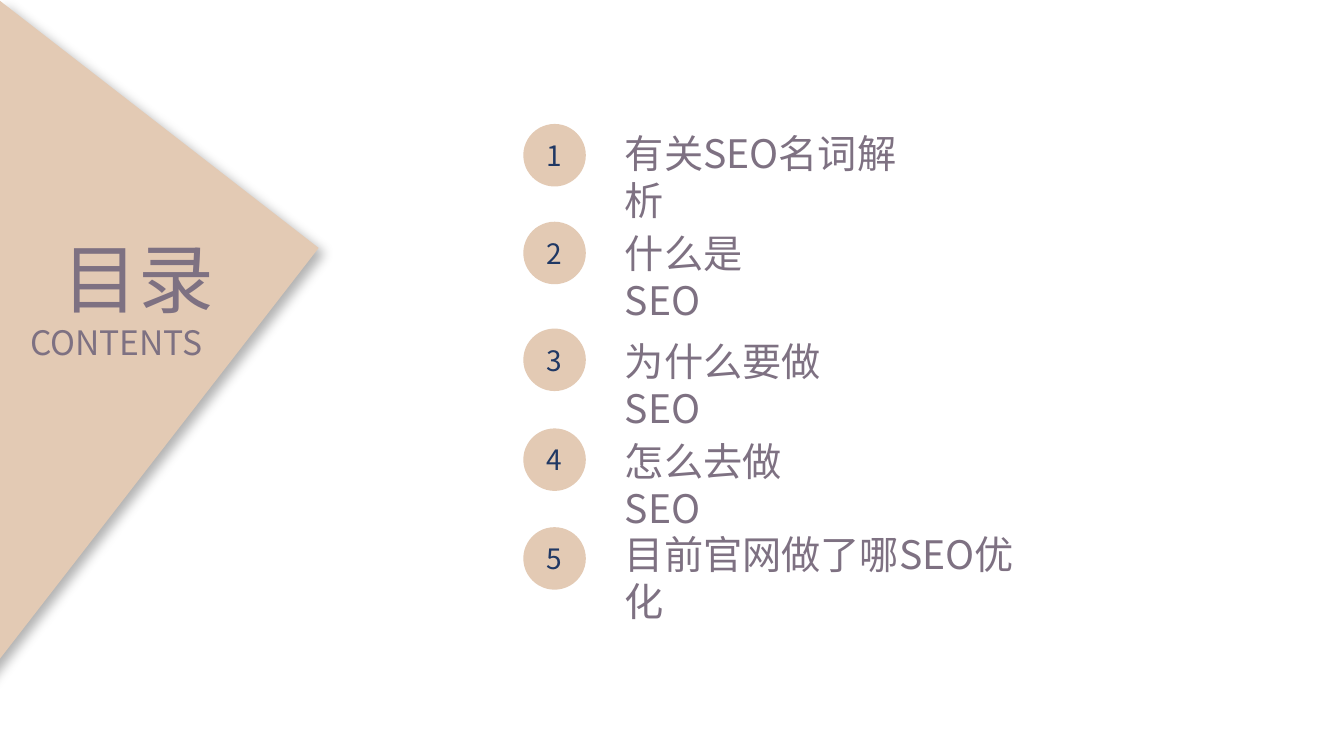
from lxml.etree import SubElement
from pptx import Presentation
from pptx.dml.color import RGBColor
from pptx.enum.shapes import MSO_SHAPE as Shape
from pptx.enum.text import MSO_ANCHOR as Anchor, MSO_AUTO_SIZE as Fit, PP_ALIGN as Align
from pptx.oxml.ns import qn
from pptx.util import Pt

PX = 9144  # 100 px to the inch
FONT = "Noto Sans CJK SC"
SAND, MAUVE, NAVY = "E3CAB4", "7E7182", "203864"

# Each topic: wording, circle top, text top, text width
TOPICS = [
    ("有关SEO名词解析", 123, 123, 312),
    ("什么是SEO", 220, 223, 195),
    ("为什么要做SEO", 326, 330, 273),
    ("怎么去做SEO", 425, 429, 234),
    ("目前官网做了哪SEO优化", 523, 521, 428),
]


def px(*nums):
    return [n * PX for n in nums]


def color(code):
    return RGBColor.from_string(code)


def write(shape, text, size, ink=MAUVE, align=Align.LEFT, anchor=Anchor.TOP):
    frame = shape.text_frame
    frame.word_wrap = True
    frame.auto_size = Fit.NONE
    frame.vertical_anchor = anchor
    par = frame.paragraphs[0]
    par.alignment = align
    run = par.add_run()
    run.text = text
    run.font.size = Pt(size)
    run.font.name = FONT
    run.font.color.rgb = color(ink)
    # East Asian glyphs need their own typeface entry
    SubElement(run.font._element, qn("a:ea"), typeface=FONT)


def add_label(slide, text, box, size):
    write(slide.shapes.add_textbox(*px(*box)), text, size)


def add_solid(slide, kind, box):
    shape = slide.shapes.add_shape(kind, *px(*box))
    shape.shadow.inherit = False
    shape.fill.solid()
    shape.fill.fore_color.rgb = color(SAND)
    shape.line.fill.background()
    return shape


def add_wedge(slide):
    wedge = add_solid(slide, Shape.RIGHT_TRIANGLE, (-319, 156, 591, 401))
    wedge.rotation = 127.8
    props = wedge._element.spPr
    props.find(qn("a:xfrm")).set("flipV", "1")
    # Soft shadow to the lower right
    shade = SubElement(props.find(qn("a:effectLst")), qn("a:outerShdw"),
                       blurRad=str(Pt(8)), dist=str(Pt(6)), dir="2700000",
                       algn="tl", rotWithShape="0")
    tint = SubElement(shade, qn("a:srgbClr"), val="000000")
    SubElement(tint, qn("a:alpha"), val="30000")


def set_title(slide, text, box, size):
    title = slide.shapes.title
    title.left, title.top, title.width, title.height = px(*box)
    write(title, text, size)
    # Bring the title in front of the wedge
    slide.shapes._spTree.append(title._element)


def add_topic(slide, num, text, top, base, width):
    disc = add_solid(slide, Shape.OVAL, (519, top, 62, 62))
    write(disc, str(num), 20, ink=NAVY, align=Align.CENTER, anchor=Anchor.MIDDLE)
    add_label(slide, text, (610, base, width, 57), 28)


def main():
    deck = Presentation()
    deck.slide_width, deck.slide_height = px(1333, 750)
    slide = deck.slides.add_slide(deck.slide_layouts[5])

    # Left panel
    add_wedge(slide)
    set_title(slide, "目录", (52, 225, 180, 101), 54)
    add_label(slide, "CONTENTS", (20, 314, 205, 50), 24)

    # Numbered topics
    for num, topic in enumerate(TOPICS, 1):
        add_topic(slide, num, *topic)

    deck.save("out.pptx")


if __name__ == "__main__":
    main()
